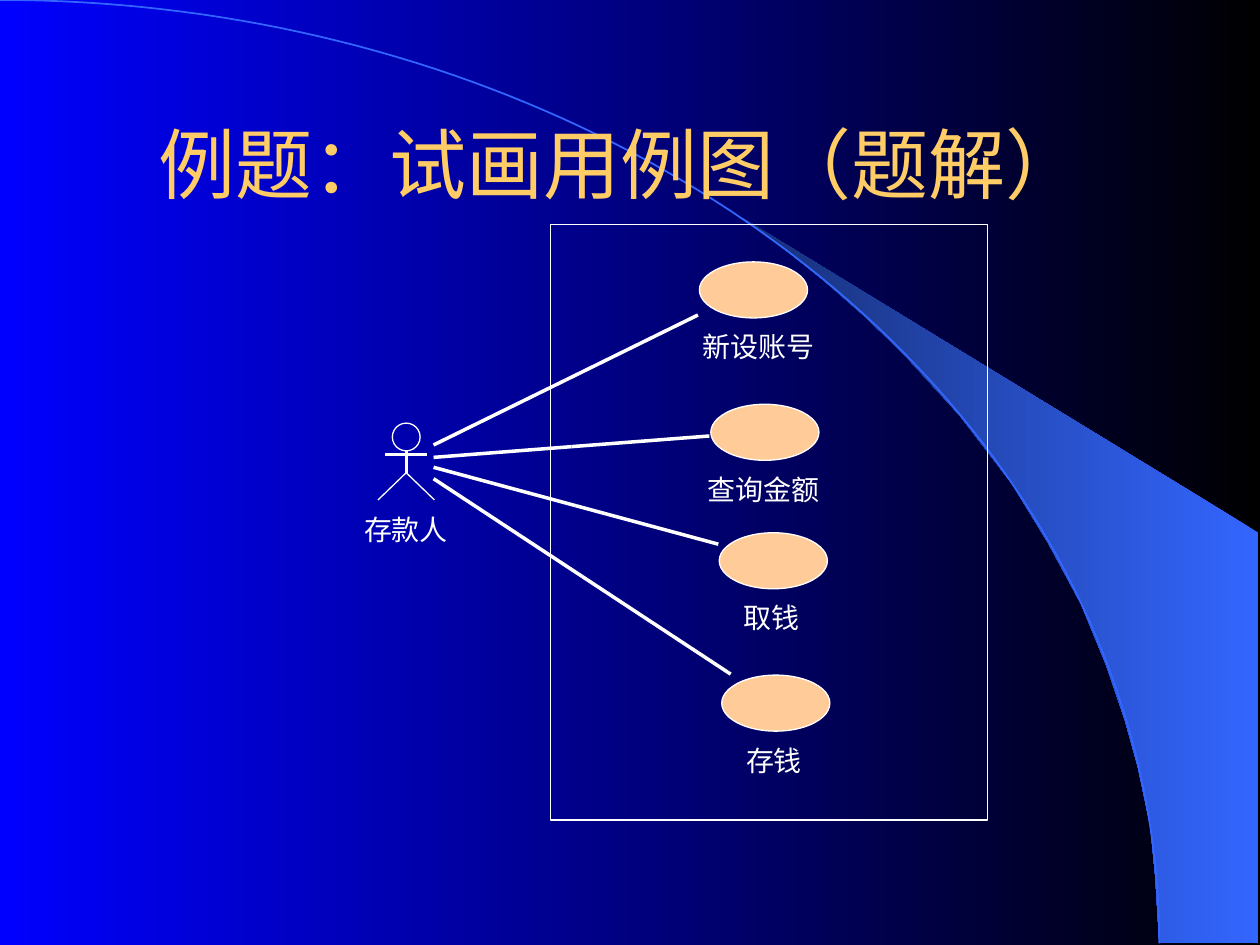
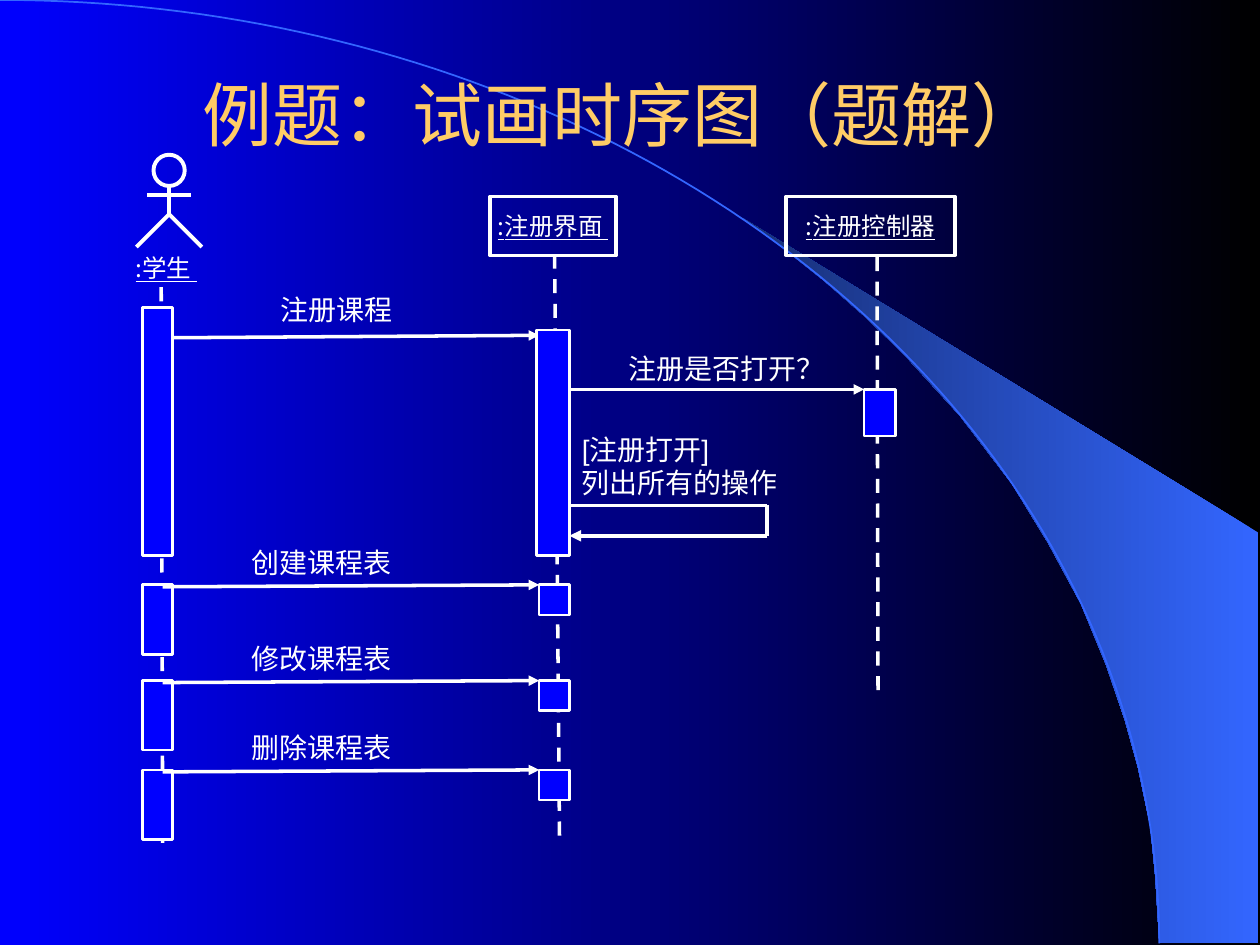
"""Build two worked-answer slides: a use case diagram and a sequence diagram."""
import math

import lxml.etree
import pptx
import pptx.dml.color
import pptx.enum.dml
import pptx.enum.shapes
import pptx.enum.text
import pptx.oxml.ns
import pptx.util

Cm = pptx.util.Cm
Pt = pptx.util.Pt
SHAPE = pptx.enum.shapes.MSO_SHAPE
ANCHOR = pptx.enum.text.MSO_ANCHOR
ALIGN = pptx.enum.text.PP_ALIGN
GROW = pptx.enum.text.MSO_AUTO_SIZE.SHAPE_TO_FIT_TEXT
DASH = pptx.enum.dml.MSO_LINE.DASH

COLOURS = {
    "black": "000000",
    "blue": "0000FF",
    "arc": "3366FF",
    "arc_dark": "172F75",
    "title": "FFCC66",
    "use_case": "FFCC99",
    "white": "FFFFFF",
}
CJK = "Noto Sans CJK SC"
FONTS = {
    "use_case_title": {"size": Pt(44), "name": CJK},
    "sequence_title": {"size": Pt(40), "name": CJK},
    "label": {"size": Pt(16), "name": CJK},
    "message": {"size": Pt(16), "name": "Arial"},
    "object": {"size": Pt(14), "name": CJK, "underline": True},
}
CENTRED = {"word_wrap": True, "vertical_anchor": ANCHOR.MIDDLE}
TIGHT = {
    "word_wrap": False, "auto_size": GROW,
    "margin_left": 0, "margin_right": 0, "margin_top": 0, "margin_bottom": 0,
}
FRAMES = {
    "title": CENTRED,
    "object": {**CENTRED, "word_wrap": False},
    "label": TIGHT,
    "lowered": {**TIGHT, "margin_top": Cm(0.1)},
    "actor": {**TIGHT, "word_wrap": True, "margin_top": Cm(0.1), "margin_bottom": Cm(0.1)},
    "message": {"word_wrap": False, "auto_size": GROW},
}
CRESCENT = [
    (23.37, 19), (25.37, 19.02), (25.37, 10.74), (14.96, 4.39), (15.85, 5.05),
    (16.59, 5.64), (17.4, 6.35), (18.19, 7.11), (19.35, 8.38), (20.4, 9.75),
    (21.13, 10.95), (21.79, 12.17), (22.3, 13.41), (22.68, 14.53),
    (22.94, 15.47), (23.19, 16.66), (23.29, 17.68),
]
ARC_STEPS = 90
ARC = [
    (23.37 * math.sin(angle), 19.02 * (1 - math.cos(angle)))
    for angle in (math.pi / 2 * step / ARC_STEPS for step in range(ARC_STEPS + 1))
]


class Deck:
    """Hold the style and the current slide, and draw each kind of element."""

    def __init__(self):
        self.presentation = pptx.Presentation()
        self.presentation.slide_width = Cm(25.4)
        self.presentation.slide_height = Cm(19.05)
        self.slide = None

    def colour(self, name):
        return pptx.dml.color.RGBColor.from_string(COLOURS[name])

    def gradient(self, fill, *names):
        fill.gradient()
        fill.gradient_angle = 180
        for stop, name in zip(fill.gradient_stops, names):
            stop.color.rgb = self.colour(name)

    def add_slide(self, title, top, height, font):
        self.slide = self.presentation.slides.add_slide(self.presentation.slide_layouts[6])
        self.gradient(self.slide.background.fill, "black", "blue")
        crescent = self.outline(CRESCENT, close=True)
        self.gradient(crescent.fill, "arc", "arc_dark")
        crescent.line.fill.background()
        self.outline(ARC, 1, "arc")
        self.text(title, 1.9, top, 21.6, height, font, "title", ALIGN.CENTER, "title")

    def stroke(self, shape, width, colour="white"):
        shape.line.color.rgb = self.colour(colour)
        shape.line.width = Pt(width)

    def outline(self, points, width=0, colour="white", close=False):
        corners = [(Cm(x), Cm(y)) for x, y in points]
        builder = self.slide.shapes.build_freeform(*corners[0])
        builder.add_line_segments(corners[1:], close=close)
        shape = builder.convert_to_shape()
        shape.shadow.inherit = False
        shape.fill.background()
        self.stroke(shape, width, colour)
        return shape

    def shape(self, kind, left, top, width, height, line=0, fill=None):
        shape = self.slide.shapes.add_shape(kind, Cm(left), Cm(top), Cm(width), Cm(height))
        shape.shadow.inherit = False
        if fill:
            shape.fill.solid()
            shape.fill.fore_color.rgb = self.colour(fill)
        else:
            shape.fill.background()
        self.stroke(shape, line)
        return shape

    def line(self, start, end, width=0, dash=None, arrow=False):
        connector = self.slide.shapes.add_connector(
            pptx.enum.shapes.MSO_CONNECTOR.STRAIGHT, *(Cm(value) for value in (*start, *end)))
        self.stroke(connector, width)
        connector.line.dash_style = dash
        properties = connector._element.spPr
        if arrow:
            lxml.etree.SubElement(
                properties.find(pptx.oxml.ns.qn("a:ln")),
                pptx.oxml.ns.qn("a:tailEnd"), type="triangle")
        lxml.etree.SubElement(properties, pptx.oxml.ns.qn("a:effectLst"))

    def fill_text(self, shape, text, font, frame, align=ALIGN.LEFT, colour="white"):
        for name, value in FRAMES[frame].items():
            setattr(shape.text_frame, name, value)
        shape.text_frame.text = text
        for paragraph in shape.text_frame.paragraphs:
            paragraph.alignment = align
            for run in paragraph.runs:
                for name, value in FONTS[font].items():
                    setattr(run.font, name, value)
                run.font.color.rgb = self.colour(colour)
                lxml.etree.SubElement(
                    run._r.get_or_add_rPr(), pptx.oxml.ns.qn("a:ea"), typeface=CJK)

    def text(self, text, left, top, width, height, font, frame, align=ALIGN.LEFT, colour="white"):
        box = self.slide.shapes.add_textbox(Cm(left), Cm(top), Cm(width), Cm(height))
        self.fill_text(box, text, font, frame, align, colour)

    def actor(self, centre, top, head, arms, reach, hip, feet, stride, width):
        self.shape(SHAPE.OVAL, centre - head / 2, top, head, head, width)
        self.line((centre, top + head), (centre, hip), width)
        self.line((centre - reach, arms), (centre + reach, arms), width)
        self.outline([(centre - stride, feet), (centre, hip), (centre + stride, feet)], width)

    def use_case(self, name, left, top, label_left, label_width):
        self.shape(SHAPE.OVAL, left, top, 2.18, 1.13, fill="use_case")
        self.text(name, label_left, top + 1.37, label_width, 0.69, "label", "label")

    def association(self, start, end):
        middle = [(first + last) / 2 for first, last in zip(start, end)]
        for tip in (end, start):
            self.line(middle, tip)

    def object_box(self, name, left, width):
        box = self.shape(SHAPE.RECTANGLE, left, 3.96, width, 1.19, 2)
        self.fill_text(box, name, "object", "object", ALIGN.CENTER)

    def activation(self, left, top, width, height):
        self.shape(SHAPE.RECTANGLE, left, top, width, height, 1.5, "blue")


def draw_use_cases(deck):
    deck.add_slide("例题：试画用例图（题解） ", 1.7, 3.18, "use_case_title")
    for name, left, top, label_left, label_width in (
        ("取钱", 14.5, 10.74, 14.99, 1.42),
        ("查询金额", 14.33, 8.15, 14.27, 2.54),
        ("存钱", 14.55, 13.61, 15.04, 1.42),
        ("新设账号", 14.1, 5.28, 14.17, 2.54),
    ):
        deck.use_case(name, left, top, label_left, label_width)
    deck.actor(8.19, 8.53, 0.56, 9.16, 0.42, 9.53, 10.08, 0.57, 0)
    deck.text("存款人", 7.34, 10.34, 1.98, 0.69, "label", "label")
    for actor_y, end in (
        (9.42, (14.48, 10.97)),
        (9.22, (14.3, 8.79)),
        (9.65, (14.73, 13.59)),
        (8.97, (14.07, 6.35)),
    ):
        deck.association((8.74, actor_y), end)
    deck.shape(SHAPE.RECTANGLE, 11.1, 4.52, 8.81, 12.01)


def draw_sequence(deck):
    deck.add_slide("例题：试画时序图（题解） ", 1.7, 1.17, "sequence_title")
    for start, end in (
        ((3.25, 5.79), (3.28, 16.99)),
        ((11.18, 5.13), (11.28, 16.99)),
        ((17.68, 5.18), (17.7, 14)),
    ):
        deck.line(start, end, 2, DASH)
    deck.object_box(":注册界面 ", 9.88, 2.54)
    deck.object_box(":注册控制器", 15.85, 3.4)
    deck.actor(3.41, 3.12, 0.63, 3.94, 0.44, 4.32, 4.98, 0.66, 2.25)
    deck.text(":学生 ", 2.49, 5, 1.73, 0.79, "object", "actor", ALIGN.CENTER)

    deck.line((3.25, 6.81), (10.87, 6.76), 2, arrow=True)
    deck.line((11.1, 7.85), (17.42, 7.85), 2, arrow=True)
    deck.text("注册课程", 5.66, 5.79, 2.26, 0.79, "label", "lowered")
    deck.text("注册是否打开？", 12.68, 6.99, 4.1, 0.79, "label", "lowered")
    for left, top, width, height in (
        (10.82, 6.65, 0.66, 4.55),
        (17.42, 7.85, 0.64, 0.94),
        (2.87, 6.2, 0.61, 5),
    ):
        deck.activation(left, top, width, height)

    self_call = [(11.48, 10.19), (15.47, 10.19), (15.47, 10.8), (11.48, 10.8)]
    for start, end in zip(self_call, self_call[1:]):
        deck.line(start, end, 2.25, arrow=end == self_call[-1])
    deck.text("[注册打开]\n列出所有的操作", 11.48, 8.59, 4.45, 1.63, "message", "message")

    for name, top in (("创建课程表", 11.79), ("修改课程表", 13.72), ("删除课程表", 15.52)):
        deck.activation(2.87, top, 0.61, 1.4)
        deck.activation(10.87, top, 0.61, 0.61)
        deck.line((3.28, top + 0.04), (10.87, top), 2, arrow=True)
        deck.text(name, 4.83, top - 0.91, 3.33, 0.94, "message", "message")


def main():
    deck = Deck()
    draw_use_cases(deck)
    draw_sequence(deck)
    deck.presentation.save("out.pptx")


if __name__ == "__main__":
    main()
